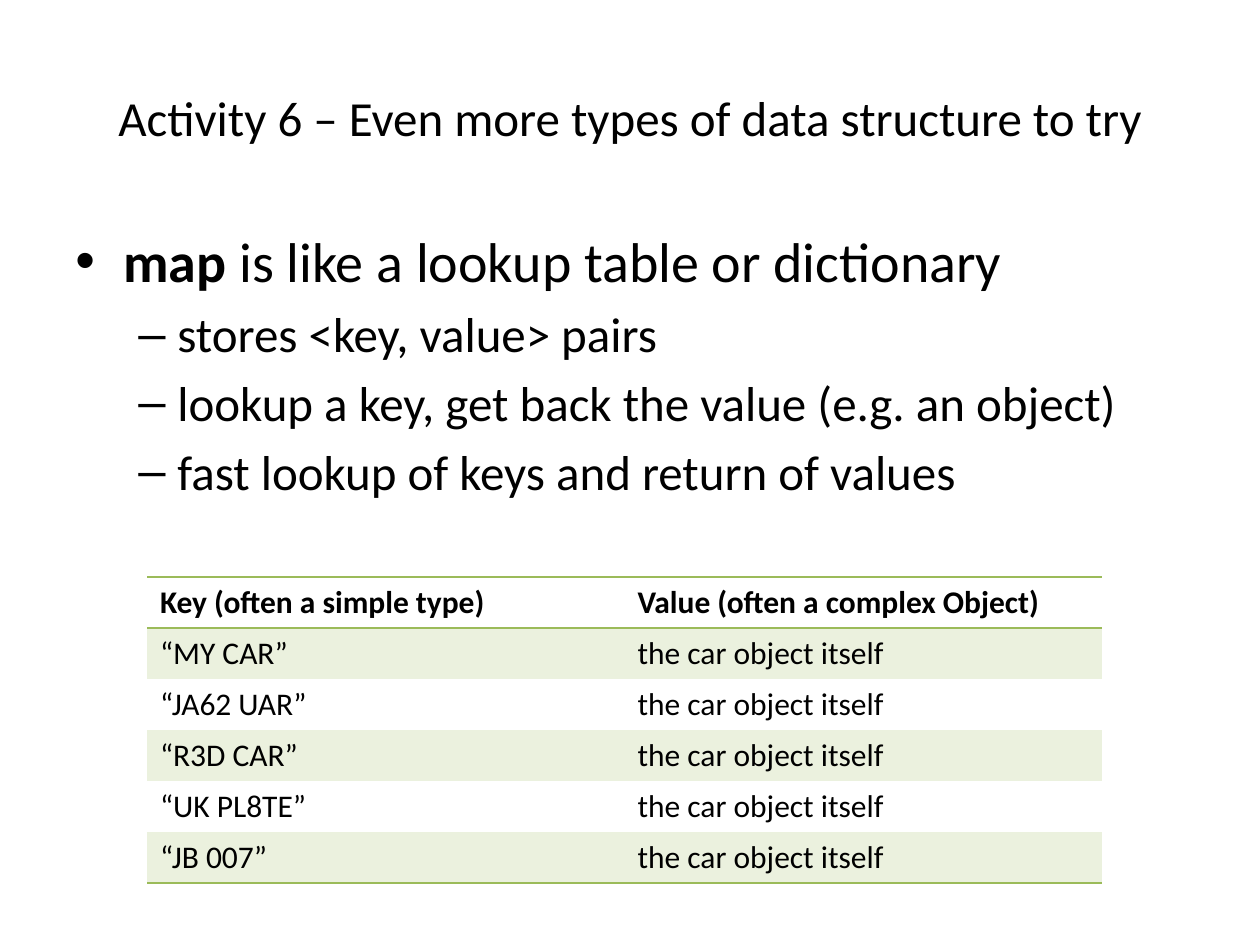
from dataclasses import dataclass
from typing import NamedTuple

import pptx
import pptx.dml.color
import pptx.enum.text
import pptx.oxml
import pptx.oxml.ns
import pptx.util

RGB = pptx.dml.color.RGBColor.from_string
Inches, Pt = pptx.util.Inches, pptx.util.Pt
PP_ALIGN = pptx.enum.text.PP_ALIGN
MSO_ANCHOR = pptx.enum.text.MSO_ANCHOR
NSDECLS = pptx.oxml.ns.nsdecls("a")
WIDTH, HEIGHT = Inches(10), Inches(7.5)
PLAIN_TABLE_STYLE = "{2D5ABB26-0587-4C30-8999-92F81FD0307C}"


@dataclass(frozen=True)
class Theme:
    font: str = "Calibri"
    ink: str = "000000"
    rule: str = "9BBB59"
    band: str = "EBF1DE"
    title: int = 28
    levels: tuple = (32, 28)
    cell: int = 18
    rule_width: int = 1


class Box(NamedTuple):
    """Left, top, width and height as shares of the slide's size."""
    x: float
    y: float
    w: float
    h: float

    def emu(self) -> tuple:
        return (int(self.x * WIDTH), int(self.y * HEIGHT),
                int(self.w * WIDTH), int(self.h * HEIGHT))


class Run(NamedTuple):
    text: str
    bold: bool = False


class Bullet(NamedTuple):
    level: int
    runs: tuple


class BulletStyle(NamedTuple):
    mark: str
    margin: float
    hanging: float


THEME = Theme()
BULLET_STYLES = (BulletStyle("•", 0.38, 0.38), BulletStyle("–", 0.81, 0.31))

TITLE_BOX = Box(0.05, 0.04, 0.9, 1 / 6)
BODY_BOX = Box(0.05, 1.75 / 7.5, 0.9, 0.66)
TABLE_BOX = Box(0.117, 4.58 / 7.5, 0.758, 2.43 / 7.5)

TITLE = "Activity 6 – Even more types of data structure to try"
BULLETS = (
    Bullet(0, (Run("map", True), Run(" is like a lookup table or dictionary"))),
    Bullet(1, (Run("stores <key, value> pairs"),)),
    Bullet(1, (Run("lookup a key, get back the value (e.g. an object)"),)),
    Bullet(1, (Run("fast lookup of keys and return of values"),)),
)
HEADER = ("Key (often a simple type)", "Value (often a complex Object)")
KEYS = ("“MY CAR”", "“JA62 UAR”", "“R3D CAR”", "“UK PL8TE”", "“JB 007”")
VALUE = "the car object itself"


def add_run(p, run: Run, size: int) -> None:
    r = p.add_run()
    r.text = run.text
    r.font.name = THEME.font
    r.font.size = Pt(size)
    r.font.bold = run.bold
    r.font.color.rgb = RGB(THEME.ink)


def add_text_frame(s, box: Box, anchor):
    tf = s.shapes.add_textbox(*box.emu()).text_frame
    tf.word_wrap = True
    tf.vertical_anchor = anchor
    return tf


def add_title(s) -> None:
    p = add_text_frame(s, TITLE_BOX, MSO_ANCHOR.MIDDLE).paragraphs[0]
    p.alignment = PP_ALIGN.CENTER
    add_run(p, Run(TITLE), THEME.title)


def set_bullet(p, style: BulletStyle) -> None:
    pPr = p._p.get_or_add_pPr()
    pPr.set("marL", str(Inches(style.margin)))
    pPr.set("indent", str(-Inches(style.hanging)))
    for xml in (f'<a:buFont {NSDECLS} typeface="Arial"/>',
                f'<a:buChar {NSDECLS} char="{style.mark}"/>'):
        pPr.append(pptx.oxml.parse_xml(xml))


def add_bullets(s) -> None:
    tf = add_text_frame(s, BODY_BOX, MSO_ANCHOR.TOP)
    for i, bullet in enumerate(BULLETS):
        p = tf.add_paragraph() if i else tf.paragraphs[0]
        size = THEME.levels[bullet.level]
        p.level = bullet.level
        p.space_before = Pt(0.2 * size)
        set_bullet(p, BULLET_STYLES[bullet.level])
        for run in bullet.runs:
            add_run(p, run, size)


def set_borders(cell, sides: str) -> None:
    """Rule the given sides, named in schema order (T before B)."""
    tcPr = cell._tc.get_or_add_tcPr()
    for i, side in enumerate(sides):
        tcPr.insert(i, pptx.oxml.parse_xml(
            f'<a:ln{side} {NSDECLS} w="{Pt(THEME.rule_width)}"><a:solidFill>'
            f'<a:srgbClr val="{THEME.rule}"/></a:solidFill></a:ln{side}>'))


def add_lookup_table(s) -> None:
    rows = (HEADER, *((key, VALUE) for key in KEYS))
    last = len(rows) - 1
    frame = s.shapes.add_table(len(rows), len(HEADER), *TABLE_BOX.emu())
    table = frame.table
    table.horz_banding = False
    table._tbl.tblPr.find(pptx.oxml.ns.qn("a:tableStyleId")).text = PLAIN_TABLE_STYLE
    for i, row in enumerate(rows):
        for j, text in enumerate(row):
            cell = table.cell(i, j)
            add_run(cell.text_frame.paragraphs[0], Run(text, i == 0), THEME.cell)
            if i % 2:
                cell.fill.solid()
                cell.fill.fore_color.rgb = RGB(THEME.band)
            else:
                cell.fill.background()
            set_borders(cell, {0: "TB", last: "B"}.get(i, ""))


def main() -> None:
    prs = pptx.Presentation()
    prs.slide_width, prs.slide_height = WIDTH, HEIGHT
    s = prs.slides.add_slide(prs.slide_layouts[6])
    add_title(s)
    add_bullets(s)
    add_lookup_table(s)
    prs.save("out.pptx")


if __name__ == "__main__":
    main()
